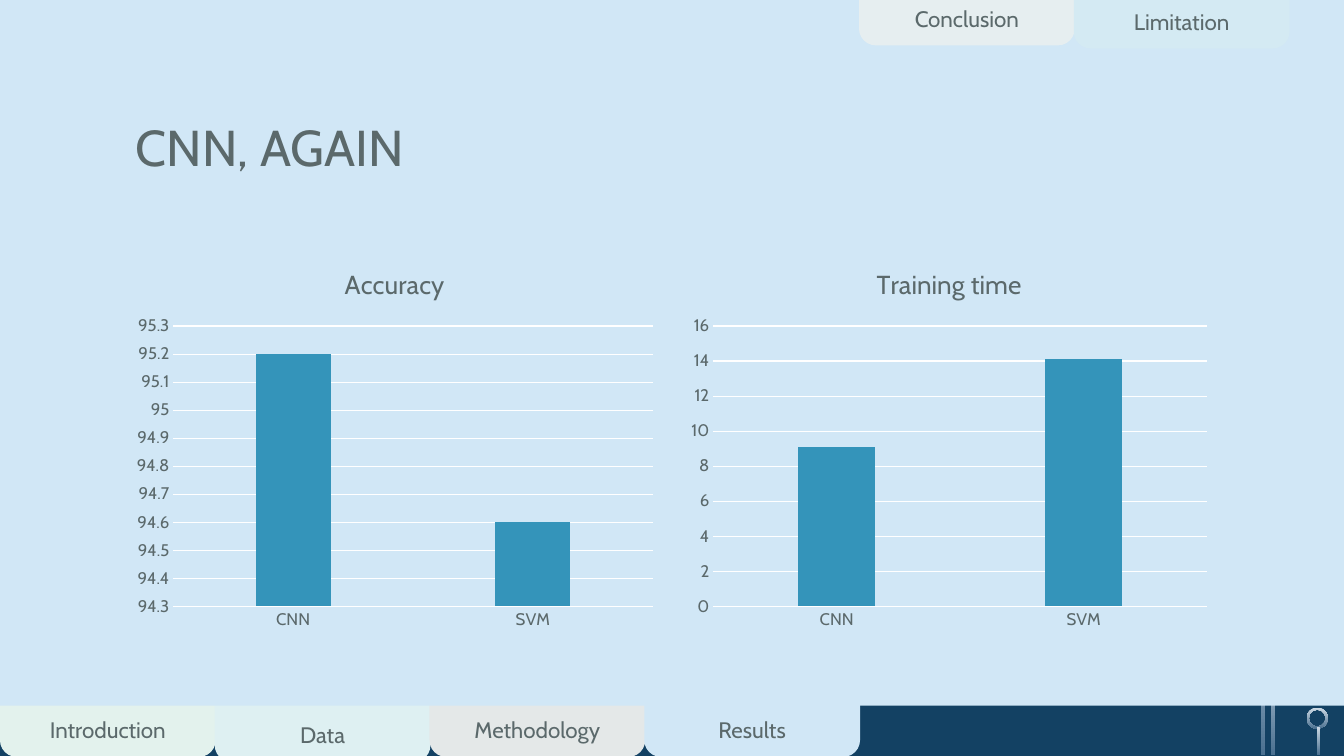
from dataclasses import dataclass

from pptx import Presentation, util as u
from pptx.chart.data import CategoryChartData
from pptx.dml.color import RGBColor
from pptx.enum import chart as charts, shapes, text


@dataclass(frozen=True)
class Theme:
    """Colours, font and type sizes."""
    font: str = "Cabin"
    ink: str = "5B696B"
    navy: str = "134163"
    panel: str = "D1E7F6"
    bar: str = "3494BA"
    grid: str = "FFFFFF"
    light: str = "CEDBE6"
    dark: str = "4A7090"
    title: float = 36
    tab: float = 16
    head: float = 18.6
    axis: float = 12


THEME = Theme()
TITLE = "CNN, AGAIN"

# label, top, colour; the tabs run left to right at one pitch
BACK = [("Introduction", 6.51, "E3F2ED"),
        ("Data", 6.56, "DEF0F2"),
        ("Methodology", 6.51, "E4E8E8")]
FRONT = [("Results", 6.51, THEME.panel),
         ("Conclusion", -0.55, "E6EEF0"),
         ("Limitation", -0.52, "D4EAF3")]
PITCH, TAB_W, TAB_H = 2.13, 2.14, 1
LABEL_W, LABEL_H, LABEL_DY = 1.53, 0.37, 0.55

CATS = ["CNN", "SVM"]
# name, values, axis low, axis high, axis step
CHARTS = [("Accuracy", [95.2, 94.6], 94.3, 95.3, 0.1),
          ("Training time", [9.1, 14.1], 0, 16, 2)]
LEFT, CHART_Y, CHART_W, CHART_H, STEP = 1.25, 2.46, 5.33, 3.87, 5.5

WIRES = [
    [(12.64, 7.49), (12.61, 7.49), (12.61, 6.93), (12.92, 6.23),
     (12.94, 6.24), (12.64, 6.94)],
    [(12.54, 7.49), (12.51, 7.49), (12.51, 6.13), (12.82, 5.83),
     (12.82, 5.52), (12.85, 5.52), (12.85, 5.84), (12.54, 6.14)],
]
RING = (12.96, 7.02, 0.21, 0.21)
STEM = (13.06, 7.21, 0.03, 0.28)

prs = Presentation()
prs.slide_width, prs.slide_height = u.Inches(13.33), u.Inches(7.5)
slide = prs.slides.add_slide(prs.slide_layouts[6])
KIND = shapes.MSO_SHAPE


def rgb(code):
    """Turn a hex code into a colour."""
    return RGBColor.from_string(code)


def style(font, size, color=THEME.ink):
    """Set face, size and colour of a font."""
    font.name, font.size, font.bold = THEME.font, u.Pt(size), False
    font.color.rgb = rgb(color)


def block(kind, box, color):
    """Add a plain filled shape."""
    shape = slide.shapes.add_shape(kind, *map(u.Inches, box))
    shape.shadow.inherit = False
    shape.line.fill.background()
    shape.fill.solid()
    shape.fill.fore_color.rgb = rgb(color)
    return shape


def fade(shape):
    """Fill a circuit part from light at the top to dark."""
    shape.shadow.inherit = False
    shape.line.fill.background()
    shape.fill.gradient()
    shape.fill.gradient_angle = 270
    stops = shape.fill.gradient_stops
    for stop, spot, code in zip(stops, (0, 1), (THEME.light, THEME.dark)):
        stop.position = spot
        stop.color.rgb = rgb(code)


def circuit():
    """Draw the circuit lines in the lower right corner."""
    for wire in WIRES:
        pts = [(u.Inches(x), u.Inches(y)) for x, y in wire]
        path = slide.shapes.build_freeform(*pts[0])
        path.add_line_segments(pts[1:], close=True)
        fade(path.convert_to_shape())
    ring = block(KIND.DONUT, RING, THEME.light)
    ring.adjustments[0] = 0.1
    fade(ring)
    fade(block(KIND.RECTANGLE, STEM, THEME.light))


def tabs(items, first):
    """Draw a run of labelled tabs from a given slot."""
    for slot, (label, top, color) in enumerate(items, first):
        left = slot * PITCH
        block(KIND.ROUNDED_RECTANGLE, (left, top, TAB_W, TAB_H), color)
        inset = (TAB_W - LABEL_W) / 2
        box = (left + inset, top + LABEL_DY, LABEL_W, LABEL_H)
        frame = block(KIND.RECTANGLE, box, color).text_frame
        frame.text = label
        frame.vertical_anchor = text.MSO_ANCHOR.TOP
        para = frame.paragraphs[0]
        para.alignment = text.PP_ALIGN.CENTER
        style(para.runs[0].font, THEME.tab)


def heading():
    """Write the slide title."""
    box = map(u.Inches, (LEFT, 0.68, 10.83, 1.62))
    frame = slide.shapes.add_textbox(*box).text_frame
    frame.word_wrap = True
    frame.vertical_anchor = text.MSO_ANCHOR.MIDDLE
    frame.text = TITLE
    para = frame.paragraphs[0]
    para.line_spacing = 0.9
    style(para.runs[0].font, THEME.title)


def columns(left, name, vals, low, high, step):
    """Add one column chart."""
    data = CategoryChartData()
    data.categories = CATS
    data.add_series(name, vals)
    box = map(u.Inches, (left, CHART_Y, CHART_W, CHART_H))
    kind = charts.XL_CHART_TYPE.COLUMN_CLUSTERED
    chart = slide.shapes.add_chart(kind, *box, data).chart
    style(chart.font, THEME.axis)
    chart.has_legend = False
    chart.has_title = True
    frame = chart.chart_title.text_frame
    frame.text = name
    style(frame.paragraphs[0].runs[0].font, THEME.head)

    plot = chart.plots[0]
    plot.vary_by_categories = False
    plot.gap_width, plot.overlap = 219, -27
    fill = plot.series[0].format.fill
    fill.solid()
    fill.fore_color.rgb = rgb(THEME.bar)

    cat, val = chart.category_axis, chart.value_axis
    for axis in (cat, val):
        axis.major_tick_mark = charts.XL_TICK_MARK.NONE
        axis.minor_tick_mark = charts.XL_TICK_MARK.NONE
        style(axis.tick_labels.font, THEME.axis)
    val.minimum_scale, val.maximum_scale = low, high
    val.major_unit = step
    val.tick_labels.number_format = "General"
    val.tick_labels.number_format_is_linked = False
    val.format.line.fill.background()
    for line in (cat.format.line, val.major_gridlines.format.line):
        line.color.rgb = rgb(THEME.grid)
        line.width = u.Pt(0.75)


back = slide.background.fill
back.solid()
back.fore_color.rgb = rgb(THEME.navy)
circuit()
tabs(BACK, 0)
block(KIND.RECTANGLE, (0, 0, 13.33, 7), THEME.panel)
tabs(FRONT, len(BACK))
heading()
for i, row in enumerate(CHARTS):
    columns(LEFT + i * STEP, *row)
prs.save("out.pptx")
